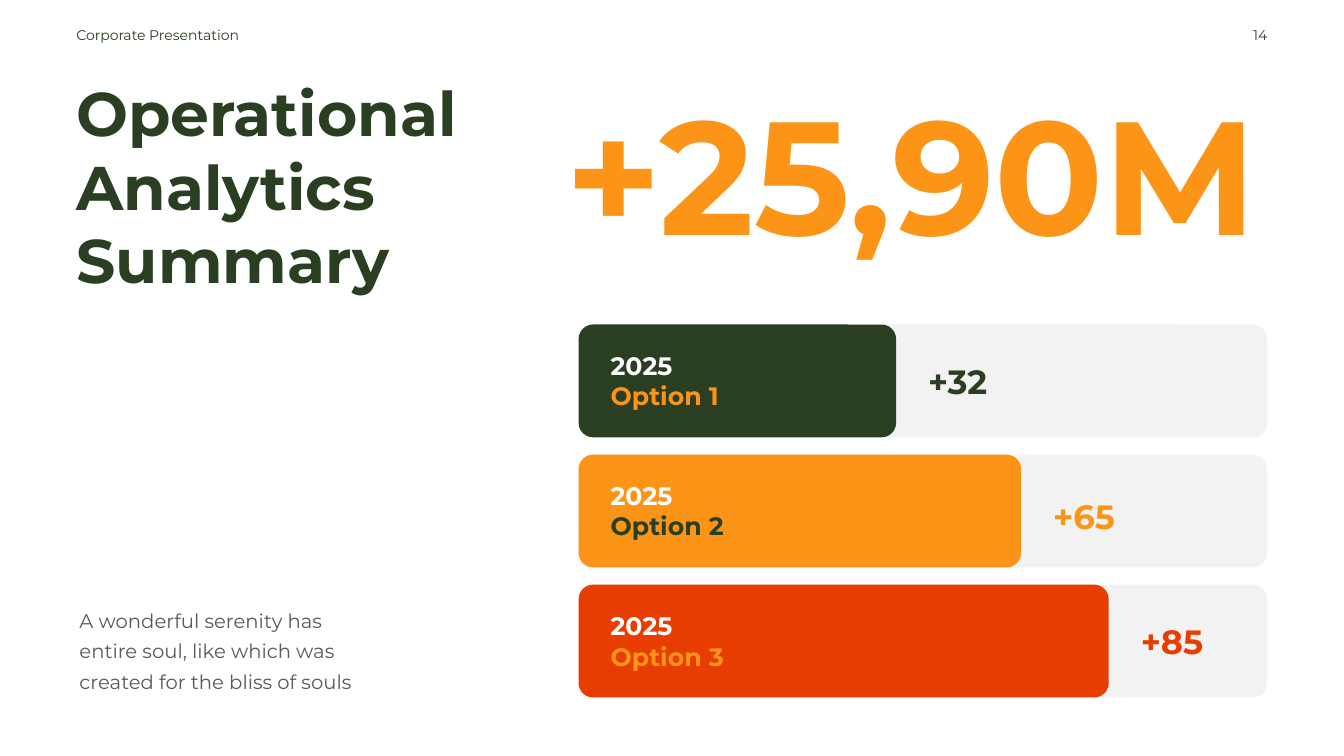
from pptx import Presentation
from pptx.dml.color import RGBColor
from pptx.enum.shapes import MSO_SHAPE
from pptx.enum.text import PP_ALIGN
from pptx.util import Pt

FONT = "Montserrat"
GREEN, AMBER, RED = "2A3E22", "FC9417", "E73D00"
WHITE, PALE, GREY = "FFFFFF", "F2F2F2", "595959"
SMALL = {"size": Pt(10)}
BODY = {"size": Pt(14)}
LABEL = {"size": Pt(18), "bold": True}
VALUE = {"size": Pt(24), "bold": True}
TITLE = {"size": Pt(44), "bold": True}
HERO = {"size": Pt(115), "bold": True}

# name, bar width, bar colour, name colour, drop of the value below the row's top
ROWS = [
    ("Option 1", 226.8, GREEN, AMBER, 22.3, "+32"),
    ("Option 2", 316.1, AMBER, GREEN, 25.9, "+65"),
    ("Option 3", 378.7, RED, AMBER, 22.3, "+85"),
]


def color(hue):
    return RGBColor.from_string(hue)


def add_text(slide, box, lines, style, align=PP_ALIGN.LEFT, space=1.0):
    """Write (text, colour) lines, one paragraph each, into a box."""
    frame = slide.shapes.add_textbox(*map(Pt, box)).text_frame
    frame.word_wrap = True
    for i, (text, hue) in enumerate(lines):
        para = frame.add_paragraph() if i else frame.paragraphs[0]
        para.alignment = align
        para.line_spacing = space
        run = para.add_run()
        run.text = text
        for key, val in {"name": FONT, **style}.items():
            setattr(run.font, key, val)
        run.font.color.rgb = color(hue)


def add_bar(slide, box, hue):
    bar = slide.shapes.add_shape(MSO_SHAPE.ROUNDED_RECTANGLE, *map(Pt, box))
    bar.adjustments[0] = 0.129
    bar.shadow.inherit = False
    bar.fill.solid()
    bar.fill.fore_color.rgb = color(hue)
    bar.line.fill.background()


def add_header(slide, box):
    left, top, width, height = box
    add_text(slide, (left, top, 145, height),
             [("Corporate Presentation", GREEN)], SMALL)
    add_text(slide, (left + width - 216, top, 216, height),
             [("14", GREEN)], SMALL, PP_ALIGN.RIGHT)


def add_intro(slide, box):
    left, top, width, height = box
    add_text(slide, (left, top, width, 167),
             [("Operational Analytics Summary", GREEN)], TITLE)
    note = "A wonderful serenity has entire soul, like which was created for the bliss of souls"
    add_text(slide, (left + 2.2, top + height - 71.3, 216, 71.3),
             [(note, GREY)], BODY, space=1.3)


def add_row(slide, box, row):
    left, top, width, height = box
    name, size, hue, ink, drop, value = row
    add_bar(slide, box, PALE)
    add_bar(slide, (left, top, size, height), hue)
    add_text(slide, (left + 15.8, top + 15, 155, 51),
             [("2025", WHITE), (name, ink)], LABEL)
    add_text(slide, (left + size + 15.8, top + drop, 73.4, 36),
             [(value, hue)], VALUE)


def add_rows(slide, box):
    left, top, width, height = box
    tall = 80.6
    step = (height - tall) / (len(ROWS) - 1)
    for i, row in enumerate(ROWS):
        add_row(slide, (left, top + i * step, width, tall), row)


def main():
    deck = Presentation()
    deck.slide_width, deck.slide_height = Pt(960), Pt(540)
    slide = deck.slides.add_slide(deck.slide_layouts[6])
    add_header(slide, (47.5, 15.1, 864.8, 19.4))
    add_intro(slide, (47.5, 49.7, 421, 447.8))
    add_text(slide, (396.7, 49.7, 525.6, 147), [("+25,90M", AMBER)], HERO)
    add_rows(slide, (413.3, 231.8, 491.8, 266.4))
    deck.save("out.pptx")


if __name__ == "__main__":
    main()
